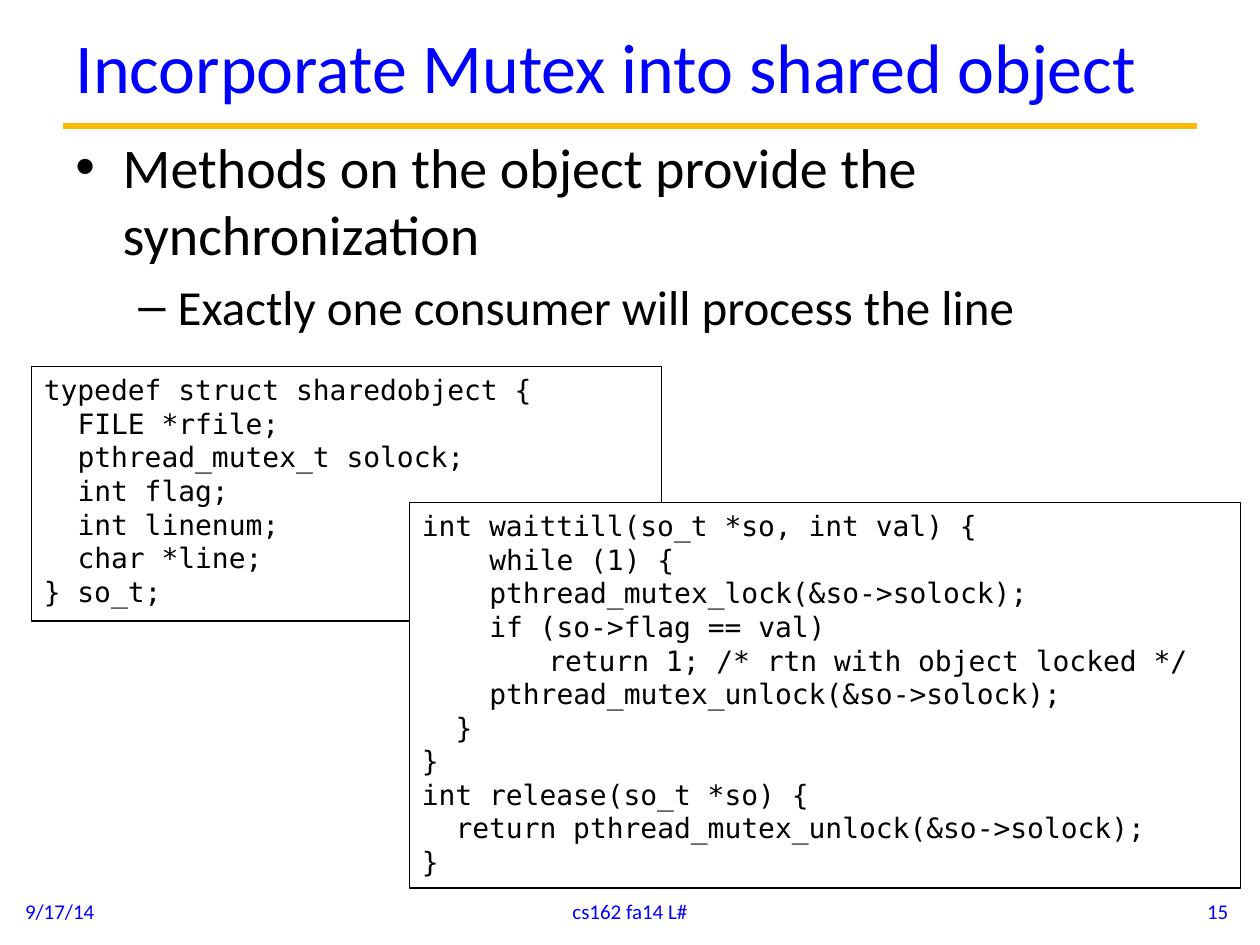
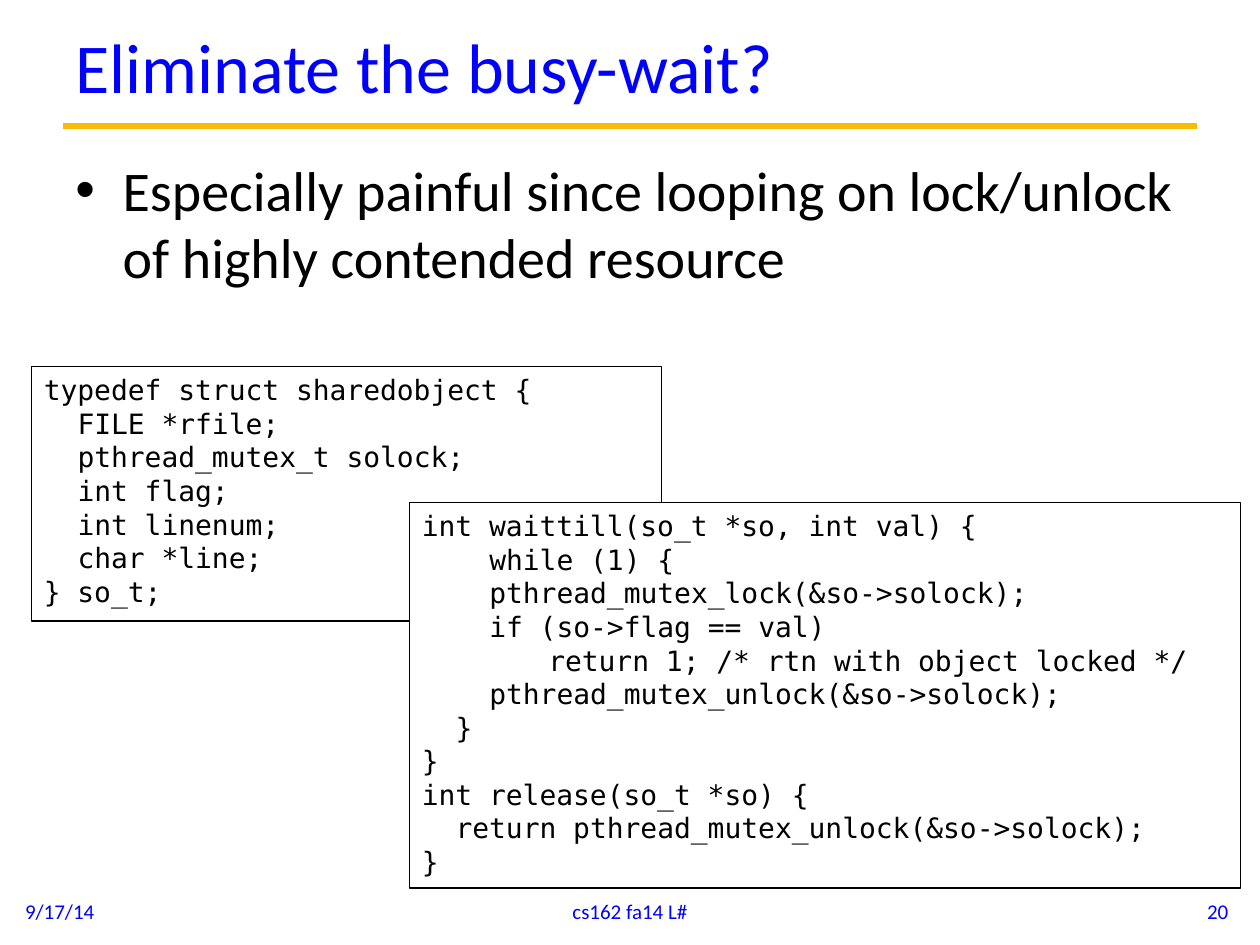
from dataclasses import dataclass

from lxml import etree
from pptx import Presentation
from pptx.dml.color import RGBColor
from pptx.enum.shapes import MSO_CONNECTOR, MSO_SHAPE
from pptx.enum.text import MSO_ANCHOR, MSO_AUTO_SIZE, PP_ALIGN
from pptx.oxml.ns import qn
from pptx.util import Pt

LEFT, CENTER, RIGHT = PP_ALIGN.LEFT, PP_ALIGN.CENTER, PP_ALIGN.RIGHT
TOP, MIDDLE = MSO_ANCHOR.TOP, MSO_ANCHOR.MIDDLE
NO_FIT, GROW = MSO_AUTO_SIZE.NONE, MSO_AUTO_SIZE.SHAPE_TO_FIT_TEXT
RECTANGLE, STRAIGHT = MSO_SHAPE.RECTANGLE, MSO_CONNECTOR.STRAIGHT
TITLE_ONLY = 5


@dataclass(frozen=True)
class Theme:
    accent: RGBColor = RGBColor(0x00, 0x00, 0xFF)
    rule: RGBColor = RGBColor(0xFB, 0xBA, 0x03)
    ink: RGBColor = RGBColor(0x00, 0x00, 0x00)
    paper: RGBColor = RGBColor(0xFF, 0xFF, 0xFF)
    text_font: str = "Calibri"
    code_font: str = "DejaVu Sans Mono"
    title_size: float = 40
    code_size: float = 16
    footer_size: float = 12
    code_column: float = 9.63  # width of one code character


@dataclass(frozen=True)
class Box:
    left: float
    top: float
    width: float
    height: float

    def lengths(self) -> tuple:
        return Pt(self.left), Pt(self.top), Pt(self.width), Pt(self.height)


@dataclass(frozen=True)
class BulletStyle:
    mark: str
    size: float
    margin: float
    hanging: float


@dataclass(frozen=True)
class Bullet:
    text: str
    level: int = 0


@dataclass(frozen=True)
class CodeLine:
    text: str
    columns: float = 0


@dataclass(frozen=True)
class CodeBox:
    box: Box
    lines: tuple[CodeLine, ...]


@dataclass(frozen=True)
class Footer:
    box: Box
    alignment: PP_ALIGN


@dataclass(frozen=True)
class Page:
    title: str
    body: Box
    bullets: tuple[Bullet, ...]
    number: str


THEME = Theme()
TITLE_BOX = Box(36, 2.88, 648, 69.12)
RULE_LEFT, RULE_RIGHT, RULE_TOP = 36, 684, 72
BULLET_STYLES = (BulletStyle("•", 32, 27, 27), BulletStyle("–", 28, 58.5, 22.5))

# Date, course and page number
FOOTERS = (
    Footer(Box(7.2, 506.2, 168, 28.8), LEFT),
    Footer(Box(246, 506.2, 228, 28.8), CENTER),
    Footer(Box(541, 506.2, 168, 28.8), RIGHT),
)
DATE, COURSE = "9/17/14", "cs162 fa14 L#"

SHARED_OBJECT = CodeBox(Box(18, 209.5, 360, 145.4), (
    CodeLine("typedef struct sharedobject {"),
    CodeLine("FILE *rfile;", 2),
    CodeLine("pthread_mutex_t solock;", 2),
    CodeLine("int flag;", 2),
    CodeLine("int linenum;", 2),
    CodeLine("char *line;", 2),
    CodeLine("} so_t;"),
))
METHODS = CodeBox(Box(234, 287.2, 475, 220.3), (
    CodeLine("int waittill(so_t *so, int val) {"),
    CodeLine("while (1) {", 4),
    CodeLine("pthread_mutex_lock(&so->solock);", 4),
    CodeLine("if (so->flag == val)", 4),
    CodeLine("return 1; /* rtn with object locked */", 7.5),
    CodeLine("pthread_mutex_unlock(&so->solock);", 4),
    CodeLine("}", 2),
    CodeLine("}"),
    CodeLine("int release(so_t *so) {"),
    CodeLine("return pthread_mutex_unlock(&so->solock);", 2),
    CodeLine("}"),
))

PAGES = (
    Page("Incorporate Mutex into shared object", Box(36, 72, 648, 135.5), (
        Bullet("Methods on the object provide the synchronization"),
        Bullet("Exactly one consumer will process the line", 1),
    ), "15"),
    Page("Eliminate the busy-wait?", Box(36, 85.5, 648, 410.5), (
        Bullet("Especially painful since looping on lock/unlock of highly contended resource"),
    ), "20"),
)


def add_run(paragraph, text: str, font: str, size: float, color: RGBColor) -> None:
    run = paragraph.add_run()
    run.text = text
    run.font.name = font
    run.font.size = Pt(size)
    run.font.color.rgb = color


def prepare_frame(shape, anchor, auto_size=NO_FIT):
    frame = shape.text_frame
    frame.word_wrap = True
    frame.auto_size = auto_size
    frame.vertical_anchor = anchor
    return frame


def paragraph_at(frame, index: int):
    return frame.paragraphs[0] if index == 0 else frame.add_paragraph()


def set_bullet(paragraph, style: BulletStyle) -> None:
    properties = paragraph._p.get_or_add_pPr()
    properties.set("marL", str(Pt(style.margin)))
    properties.set("indent", str(-Pt(style.hanging)))
    space_before = etree.SubElement(properties, qn("a:spcBef"))
    etree.SubElement(space_before, qn("a:spcPct")).set("val", "20000")
    etree.SubElement(properties, qn("a:buFont")).set("typeface", "Arial")
    etree.SubElement(properties, qn("a:buChar")).set("char", style.mark)


def add_title(slide, text: str) -> None:
    title = slide.shapes.title
    title.left, title.top, title.width, title.height = TITLE_BOX.lengths()
    paragraph = prepare_frame(title, MIDDLE).paragraphs[0]
    paragraph.alignment = LEFT
    add_run(paragraph, text, THEME.text_font, THEME.title_size, THEME.accent)


def add_rule(slide) -> None:
    rule = slide.shapes.add_connector(
        STRAIGHT, Pt(RULE_LEFT), Pt(RULE_TOP), Pt(RULE_RIGHT), Pt(RULE_TOP))
    rule.line.color.rgb = THEME.rule
    rule.line.width = Pt(3.75)
    etree.SubElement(rule._element.spPr, qn("a:effectLst"))


def add_body(slide, box: Box, bullets: tuple[Bullet, ...]) -> None:
    frame = prepare_frame(slide.shapes.add_textbox(*box.lengths()), TOP)
    for index, bullet in enumerate(bullets):
        style = BULLET_STYLES[bullet.level]
        paragraph = paragraph_at(frame, index)
        paragraph.level = bullet.level
        set_bullet(paragraph, style)
        add_run(paragraph, bullet.text, THEME.text_font, style.size, THEME.ink)


def add_footers(slide, number: str) -> None:
    for footer, text in zip(FOOTERS, (DATE, COURSE, number)):
        shape = slide.shapes.add_textbox(*footer.box.lengths())
        paragraph = prepare_frame(shape, MIDDLE).paragraphs[0]
        paragraph.alignment = footer.alignment
        add_run(paragraph, text, THEME.text_font, THEME.footer_size, THEME.accent)


def add_code(slide, code: CodeBox) -> None:
    shape = slide.shapes.add_shape(RECTANGLE, *code.box.lengths())
    shape.shadow.inherit = False
    shape.fill.solid()
    shape.fill.fore_color.rgb = THEME.paper
    shape.line.color.rgb = THEME.ink
    shape.line.width = Pt(0.75)
    frame = prepare_frame(shape, TOP, GROW)
    for index, line in enumerate(code.lines):
        paragraph = paragraph_at(frame, index)
        paragraph.alignment = LEFT
        # Code is indented by whole character columns
        margin = Pt(line.columns * THEME.code_column)
        paragraph._p.get_or_add_pPr().set("marL", str(margin))
        add_run(paragraph, line.text, THEME.code_font, THEME.code_size, THEME.ink)


def add_page(presentation, page: Page) -> None:
    slide = presentation.slides.add_slide(presentation.slide_layouts[TITLE_ONLY])
    add_rule(slide)
    add_title(slide, page.title)
    add_body(slide, page.body, page.bullets)
    add_footers(slide, page.number)
    for code in (SHARED_OBJECT, METHODS):
        add_code(slide, code)


def main() -> None:
    presentation = Presentation()
    presentation.slide_width, presentation.slide_height = Pt(720), Pt(540)
    for page in PAGES:
        add_page(presentation, page)
    presentation.save("out.pptx")


if __name__ == "__main__":
    main()
